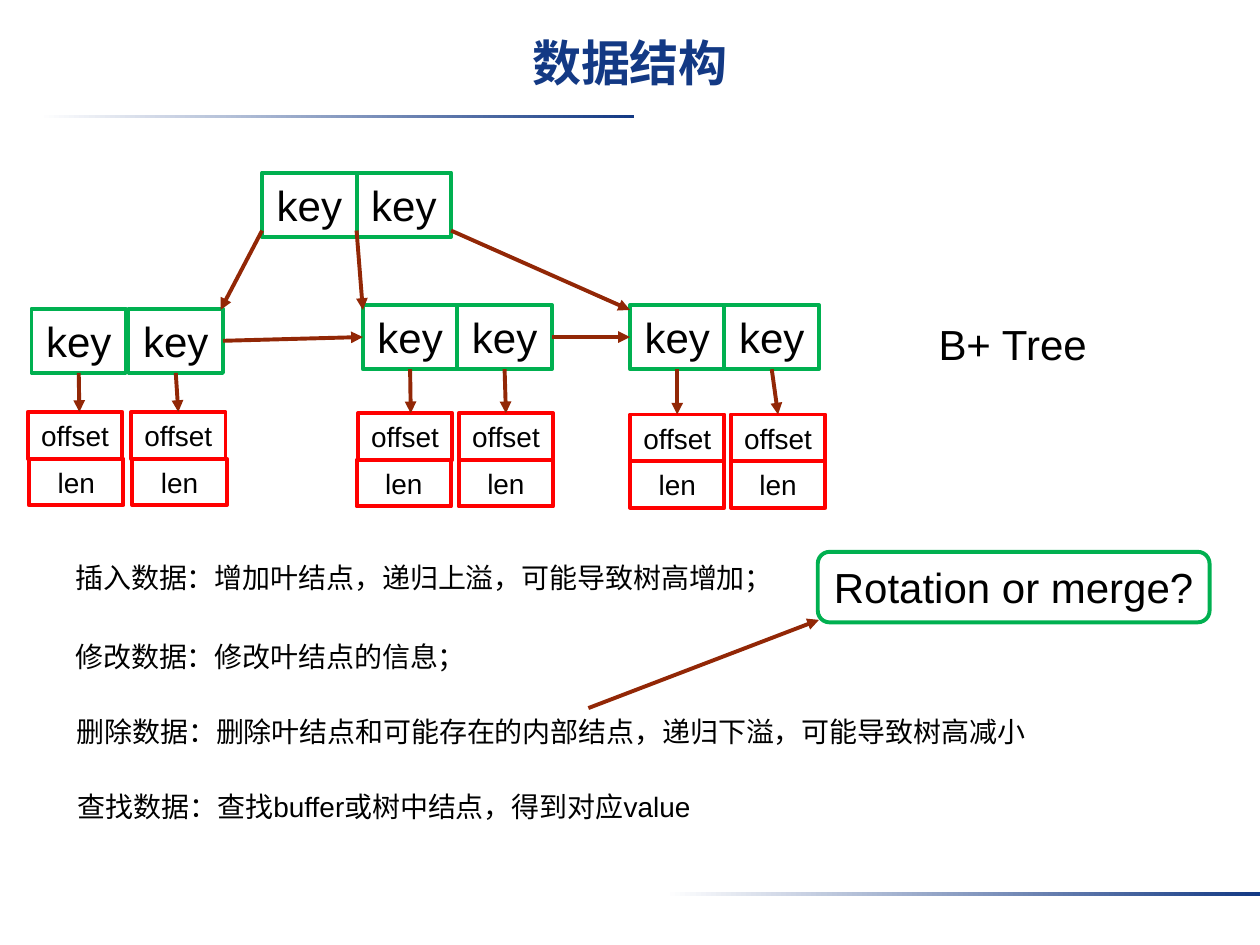
from lxml import etree
from pptx import Presentation
from pptx import util as u
from pptx.dml.color import RGBColor
from pptx.enum import shapes, text
from pptx.oxml import ns

SCALE = 9144
NAVY = RGBColor(0x13, 0x39, 0x84)
GREEN = RGBColor(0x00, 0xB0, 0x50)
RED = RGBColor(0xFF, 0x00, 0x00)
BROWN = RGBColor(0x92, 0x27, 0x06)
BLACK = RGBColor(0x00, 0x00, 0x00)
WHITE = RGBColor(0xFF, 0xFF, 0xFF)
LINE_WIDTH = u.Pt(2.25)
CELL_WIDTH, KEY_HEIGHT, RECORD_HEIGHT = 75, 51, 37
LEAVES = [
    ((25, 245), 77, 327, [(22, 23), (104, 105)]),
    ((288, 242), 75, 328, [(284, 283), (364, 364)]),
    ((500, 242), 75, 329, [(500, 500), (580, 580)]),
]
NOTES = [
    ("插入数据：增加叶结点，递归上溢，可能导致树高增加；", (50, 440, 581, 37), False),
    ("修改数据：修改叶结点的信息；", (50, 503, 334, 37), False),
    ("删除数据：删除叶结点和可能存在的内部结点，递归下溢，可能导致树高减小", (51, 562, 783, 37), False),
    ("查找数据：查找buffer或树中结点，得到对应value", (52, 622, 512, 37), True),
]


def px(*lengths):
    """Turn pixel lengths into EMU."""
    return [u.Emu(length * SCALE) for length in lengths]


def apply(target, values):
    """Set every attribute named in a dict of format values."""
    for name, value in values.items():
        setattr(target, name, value)


def write(shape, words, size, align=text.PP_ALIGN.LEFT, wrap=False, frame_format=None, font_format=None):
    """Put one formatted paragraph in a shape."""
    frame = shape.text_frame
    apply(frame, {"word_wrap": wrap, "auto_size": text.MSO_AUTO_SIZE.SHAPE_TO_FIT_TEXT,
                  **(frame_format or {})})
    paragraph = frame.paragraphs[0]
    paragraph.alignment = align
    run = paragraph.add_run()
    run.text = words
    apply(run.font, {"name": "Arial", "size": u.Pt(size), **(font_format or {})})
    run.font.color.rgb = (font_format and NAVY) or BLACK


def add_label(slide, words, box, size, wrap=False):
    """Add a plain text box."""
    write(slide.shapes.add_textbox(*px(*box)), words, size, wrap=wrap)


def add_cell(slide, words, box, color, size, wrap=True, kind=shapes.MSO_SHAPE.RECTANGLE):
    """Add a white outlined cell with centred text."""
    cell = slide.shapes.add_shape(kind, *px(*box))
    cell.shadow.inherit = False
    cell.fill.solid()
    cell.fill.fore_color.rgb = WHITE
    cell.line.color.rgb = color
    cell.line.width = LINE_WIDTH
    write(cell, words, size, text.PP_ALIGN.CENTER, wrap,
          {"vertical_anchor": text.MSO_ANCHOR.MIDDLE})
    return cell


def add_arrow(slide, start, end):
    """Add a straight brown arrow between two points."""
    arrow = slide.shapes.add_connector(shapes.MSO_CONNECTOR.STRAIGHT, *px(*start, *end))
    arrow.line.color.rgb = BROWN
    arrow.line.width = LINE_WIDTH
    etree.SubElement(arrow.line._get_or_add_ln(), ns.qn("a:tailEnd"), type="triangle")
    etree.SubElement(arrow._element.spPr, ns.qn("a:effectLst"))
    return arrow


def add_keys(slide, left, top, step):
    """Add a tree node of two key cells."""
    return [add_cell(slide, "key", (left + step * column, top, CELL_WIDTH, KEY_HEIGHT), GREEN, 24)
            for column in range(2)]


def add_leaf(slide, origin, step, record_top, records):
    """Add a leaf node with an offset and len record below each key."""
    left, top = origin
    keys = add_keys(slide, left, top, step)
    for column, (offset_left, len_left) in enumerate(records):
        offset = add_cell(slide, "offset", (offset_left, record_top, CELL_WIDTH, RECORD_HEIGHT),
                          RED, 16, wrap=False)
        add_cell(slide, "len", (len_left, record_top + RECORD_HEIGHT, CELL_WIDTH, RECORD_HEIGHT),
                 RED, 16)
        middle = left + step * column + CELL_WIDTH // 2
        arrow = add_arrow(slide, (middle, top + KEY_HEIGHT), (middle + 1, record_top))
        arrow.begin_connect(keys[column], 2)
        if abs(offset_left - left - step * column) != 3 and offset_left != 284:
            arrow.end_connect(offset, 0)
    return keys


def add_tree(slide, left, top):
    """Add the root, its leaves and the arrows between them."""
    add_keys(slide, left, top, CELL_WIDTH)
    leaves = [add_leaf(slide, *leaf) for leaf in LEAVES]
    for column, end in enumerate([(175, 246), (288, 246), (500, 246)]):
        add_arrow(slide, (left + CELL_WIDTH * column, top + 46), end)
    for node, following in zip(leaves, leaves[1:]):
        arrow = add_arrow(slide, (0, 0), (1, 1))
        arrow.begin_connect(node[1], 3)
        arrow.end_connect(following[0], 1)
    add_label(slide, "B+ Tree", (735, 248, 139, 50), 24)


def add_rule(slide, left, top):
    """Add a thin bar fading from white to navy."""
    rule = slide.shapes.add_shape(shapes.MSO_SHAPE.RECTANGLE, *px(left, top, 472, 3))
    rule.shadow.inherit = False
    rule.line.fill.background()
    rule.fill.gradient()
    rule.fill.gradient_angle = 0
    for stop, position, color in zip(rule.fill.gradient_stops, (0, 1), (WHITE, NAVY)):
        stop.position = position
        stop.color.rgb = color


def add_title(slide, words, box):
    """Place and format the title placeholder."""
    title = slide.shapes.title
    apply(title, dict(zip(("left", "top", "width", "height"), px(*box))))
    write(title, words, 28, text.PP_ALIGN.CENTER, True,
          {"auto_size": text.MSO_AUTO_SIZE.NONE, "vertical_anchor": text.MSO_ANCHOR.TOP,
           "margin_top": px(6)[0]}, {"bold": True})


def add_operations(slide):
    """Add the operation notes and the callout on deletion."""
    for words, box, wrap in NOTES:
        add_label(slide, words, box, 16, wrap)
    add_arrow(slide, (467, 562), (650, 492))
    add_cell(slide, "Rotation or merge?", (649, 438, 311, 56), GREEN, 24, wrap=False,
             kind=shapes.MSO_SHAPE.ROUNDED_RECTANGLE)


def main():
    """Build and save the slide."""
    presentation = Presentation()
    apply(presentation, dict(zip(("slide_width", "slide_height"), px(1000, 750))))
    slide = presentation.slides.add_slide(presentation.slide_layouts[5])
    add_rule(slide, 31, 91)
    add_rule(slide, 528, 708)
    add_title(slide, "数据结构", (0, 20, 1000, 75))
    add_tree(slide, 208, 137)
    add_operations(slide)
    presentation.save("out.pptx")


if __name__ == "__main__":
    main()
